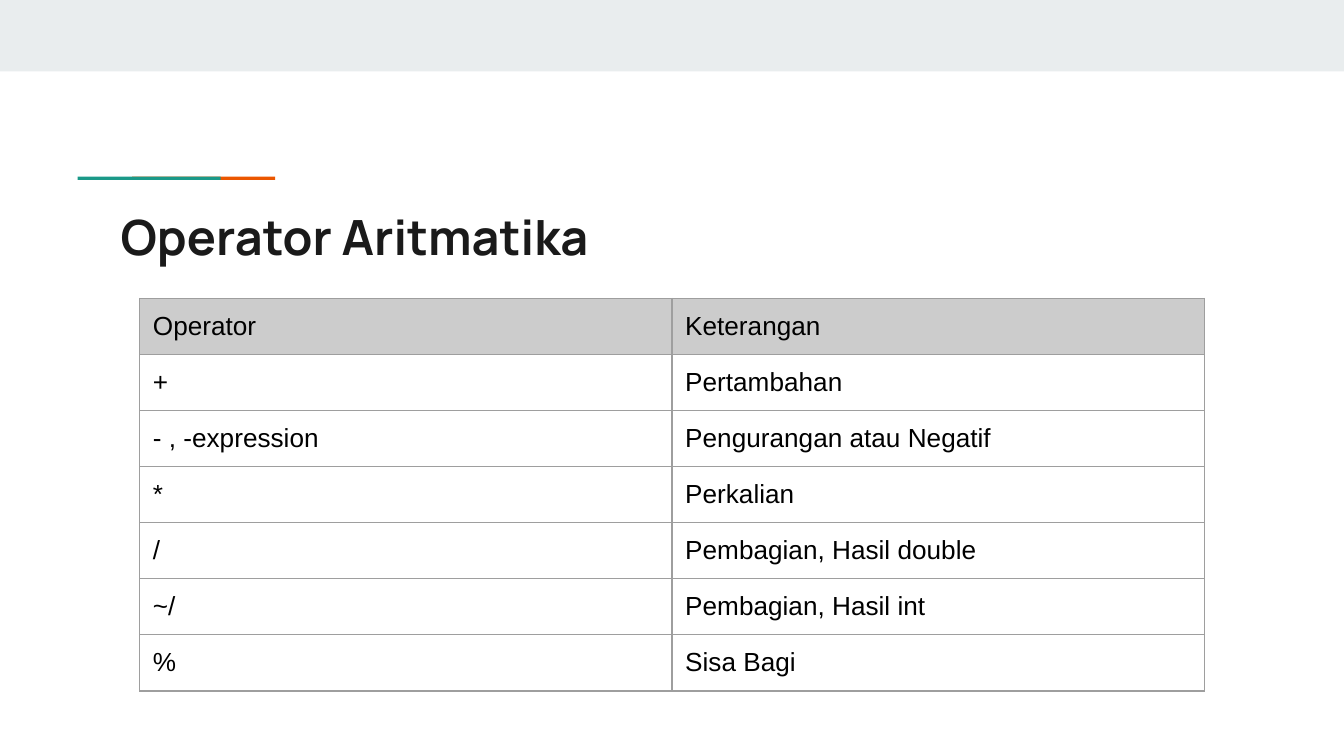
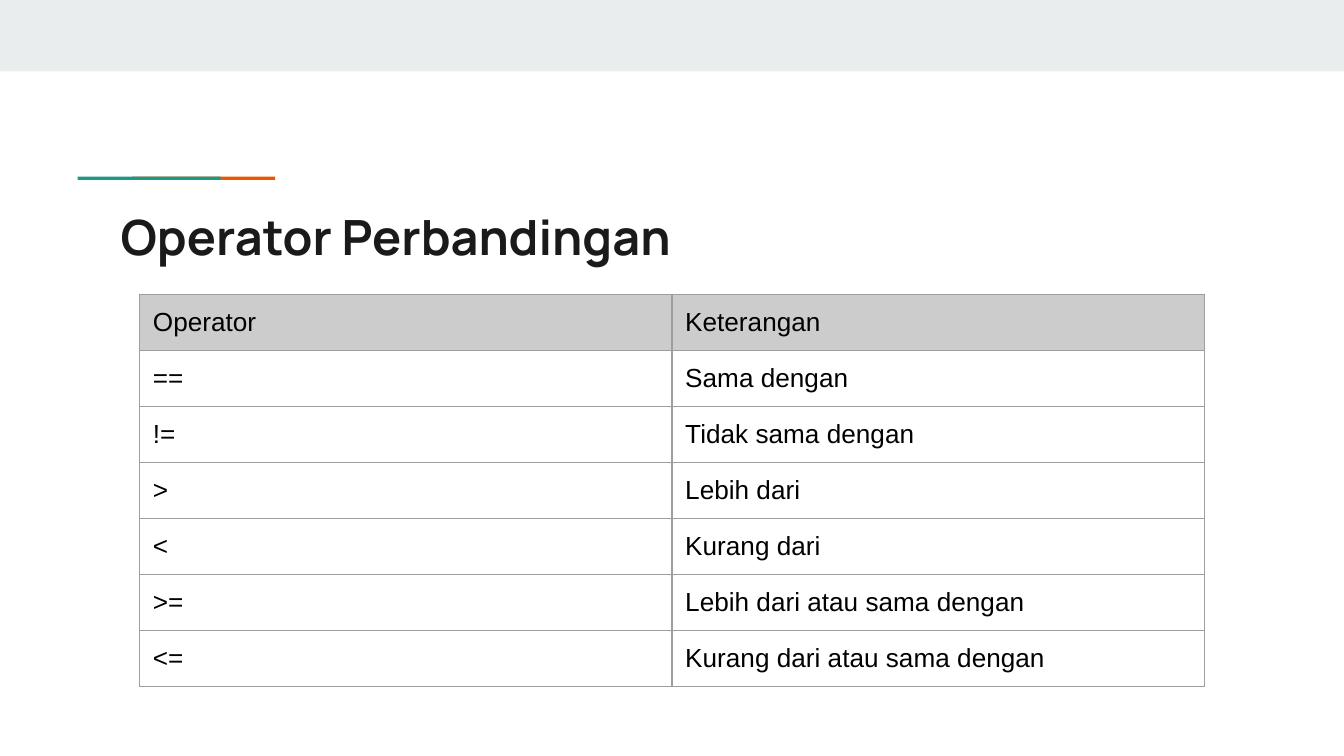
import pptx
import pptx.util
import pptx.dml.color
import pptx.enum.shapes
import pptx.enum.text
import pptx.oxml
from pptx.oxml.ns import nsdecls

Cm = pptx.util.Cm
Pt = pptx.util.Pt

# Shared look
SLIDE_W, SLIDE_H = 25.4, 14.29
BAND, TEAL, ORANGE = "E9EDEE", "1A9988", "EB5600"
TITLE, INK, WHITE = "1A1A1A", "000000", "FFFFFF"
HEADER, GRID = "CCCCCC", "9E9E9E"
INSET = 0.25
ROW_H = 1.06

TITLE_BOX = (2.03, 3.66, 21.36, 1.5)
ACCENT_BOX = (1.47, 3.34, 3.73, 0.06)

# Title, table box, rows
SLIDES = [
    ("Operator Aritmatika", (2.64, 5.64, 20.12), [
        ("Operator", "Keterangan"),
        ("+", "Pertambahan"),
        ("- , -expression", "Pengurangan atau Negatif"),
        ("*", "Perkalian"),
        ("/", "Pembagian, Hasil double"),
        ("~/", "Pembagian, Hasil int"),
        ("%", "Sisa Bagi"),
    ]),
    ("Operator Perbandingan", (2.64, 5.56, 20.12), [
        ("Operator", "Keterangan"),
        ("==", "Sama dengan"),
        ("!=", "Tidak sama dengan"),
        (">", "Lebih dari"),
        ("<", "Kurang dari"),
        (">=", "Lebih dari atau sama dengan"),
        ("<=", "Kurang dari atau sama dengan"),
    ]),
]


def color(hex_text):
    return pptx.dml.color.RGBColor.from_string(hex_text)


def write(tf, text, font="Arial", size=14, ink=INK, bold=False):
    """Put one formatted, left-aligned line into a text frame."""
    p = tf.paragraphs[0]
    p.alignment = pptx.enum.text.PP_ALIGN.LEFT
    r = p.add_run()
    r.text = text
    r.font.name = font
    r.font.size = Pt(size)
    r.font.bold = bold
    r.font.color.rgb = color(ink)


def set_insets(target):
    target.margin_left = target.margin_right = Cm(INSET)
    target.margin_top = target.margin_bottom = Cm(INSET)
    target.vertical_anchor = pptx.enum.text.MSO_ANCHOR.TOP


def add_bar(s, x, y, w, h, fill):
    sp = s.shapes.add_shape(pptx.enum.shapes.MSO_SHAPE.RECTANGLE,
                            Cm(x), Cm(y), Cm(w), Cm(h))
    sp.shadow.inherit = False
    sp.fill.solid()
    sp.fill.fore_color.rgb = color(fill)
    sp.line.fill.background()


def add_accent(s, box):
    """Two overlapping bars of equal length, teal in front."""
    x, y, w, h = box
    bar_w = 2.7
    add_bar(s, x + w - bar_w, y, bar_w, h, ORANGE)
    add_bar(s, x, y, bar_w, h, TEAL)


def add_title(s, text, box):
    sp = s.shapes.title
    sp.left, sp.top, sp.width, sp.height = [Cm(v) for v in box]
    tf = sp.text_frame
    tf.word_wrap = True
    tf.auto_size = pptx.enum.text.MSO_AUTO_SIZE.NONE
    set_insets(tf)
    write(tf, text, font="Manrope", size=26, ink=TITLE, bold=True)


def set_borders(cell):
    tc_pr = cell._tc.get_or_add_tcPr()
    for i, side in enumerate(("lnL", "lnR", "lnT", "lnB")):
        tc_pr.insert(i, pptx.oxml.parse_xml(
            f'<a:{side} {nsdecls("a")} w="{Pt(0.75)}"><a:solidFill>'
            f'<a:srgbClr val="{GRID}"/></a:solidFill></a:{side}>'))


def add_operator_table(s, rows, box):
    x, y, w = box
    n_cols = len(rows[0])
    table = s.shapes.add_table(len(rows), n_cols, Cm(x), Cm(y),
                               Cm(w), Cm(ROW_H * len(rows))).table
    table.first_row = table.horz_banding = False
    for col in table.columns:
        col.width = Cm(w / n_cols)
    for i, texts in enumerate(rows):
        table.rows[i].height = Cm(ROW_H)
        for j, text in enumerate(texts):
            cell = table.cell(i, j)
            set_insets(cell)
            if i == 0:
                cell.fill.solid()
                cell.fill.fore_color.rgb = color(HEADER)
            else:
                cell.fill.background()
            set_borders(cell)
            write(cell.text_frame, text)


def add_operator_slide(prs, title, table_box, rows):
    s = prs.slides.add_slide(prs.slide_layouts[5])
    s.background.fill.solid()
    s.background.fill.fore_color.rgb = color(WHITE)
    add_bar(s, 0, 0, SLIDE_W, 1.35, BAND)
    add_accent(s, ACCENT_BOX)
    add_title(s, title, TITLE_BOX)
    add_operator_table(s, rows, table_box)


def main():
    prs = pptx.Presentation()
    prs.slide_width, prs.slide_height = Cm(SLIDE_W), Cm(SLIDE_H)
    for title, table_box, rows in SLIDES:
        add_operator_slide(prs, title, table_box, rows)
    prs.save("out.pptx")


if __name__ == "__main__":
    main()
